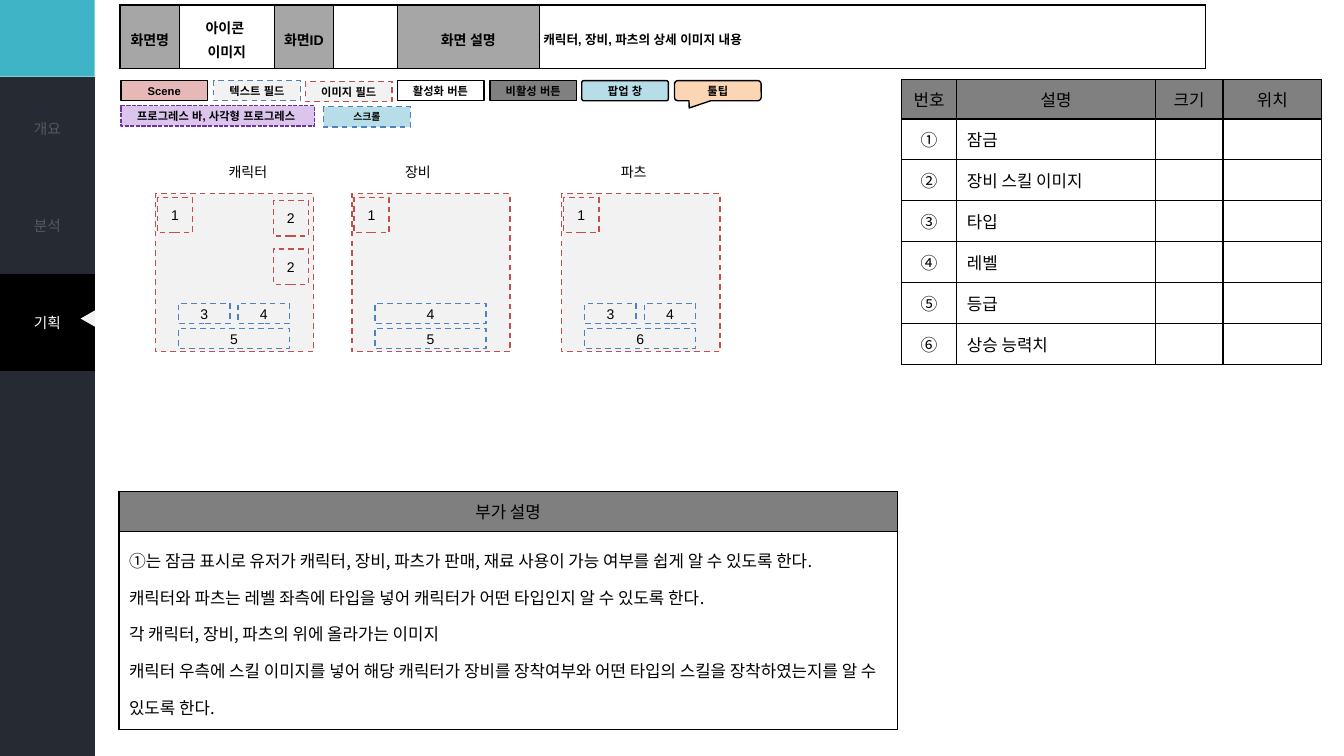
from lxml import etree
from pptx import Presentation
from pptx.dml.color import RGBColor
from pptx.enum.dml import MSO_LINE
from pptx.enum.shapes import MSO_SHAPE
from pptx.enum.text import MSO_ANCHOR, PP_ALIGN
from pptx.oxml.ns import qn
from pptx.util import Inches, Pt

LEFT, CENTER = PP_ALIGN.LEFT, PP_ALIGN.CENTER
TOP, MIDDLE = MSO_ANCHOR.TOP, MSO_ANCHOR.MIDDLE
RECT, ROUND = MSO_SHAPE.RECTANGLE, MSO_SHAPE.ROUNDED_RECTANGLE
CALLOUT, TRIANGLE = MSO_SHAPE.ROUNDED_RECTANGULAR_CALLOUT, MSO_SHAPE.ISOSCELES_TRIANGLE
DASH, SYS_DASH = MSO_LINE.DASH, MSO_LINE.SQUARE_DOT

ARIAL, NOTO = "Arial", "Noto Sans CJK KR"
BLACK, WHITE, PALE, GRAY, MID = "000000", "FFFFFF", "F2F2F2", "808080", "A6A6A6"
TEAL, NAVY, DIM = "3EB4C6", "262A33", "595959"
BLUE, RED, PURPLE, SKY = "4F81BD", "C0504D", "7030A0", "B7DEE8"

# Content
MENU = ["개요", "분석", "기획", "", "", "", ""]
ACTIVE = 2
MENU_HEIGHT = 6.74

HEADER = [  # text, width, fill, size, alignment
    ("화면명", 0.59, MID, 10, CENTER),
    ("아이콘 \v이미지", 0.94, WHITE, 10, CENTER),
    ("화면ID", 0.59, MID, 10, CENTER),
    ("", 0.63, WHITE, 10, CENTER),
    ("화면 설명", 1.41, MID, 10, CENTER),
    ("캐릭터, 장비, 파츠의 상세 이미지 내용", 6.61, WHITE, 9, LEFT),
]

LEGEND = [  # text, left, top, width, shape, fill, line, dash, adjustments, size, font
    ("Scene", 1.2, 0.8, 0.86, RECT, "E6B9B8", BLACK, None, [], 8, ARIAL),
    ("텍스트 필드", 2.12, 0.8, 0.86, RECT, PALE, BLUE, DASH, [], 8, ARIAL),
    ("이미지 필드", 3.03, 0.81, 0.86, RECT, PALE, RED, DASH, [], 8, ARIAL),
    ("활성화 버튼", 3.94, 0.8, 0.86, RECT, WHITE, BLACK, None, [], 8, ARIAL),
    ("비활성 버튼", 4.86, 0.8, 0.86, RECT, GRAY, BLACK, None, [], 8, ARIAL),
    ("팝업 창", 5.77, 0.8, 0.86, ROUND, SKY, BLACK, None, [0.11], 8, ARIAL),
    ("툴팁", 6.69, 0.8, 0.86, CALLOUT, "FCD5B5", BLACK, None, [-0.33, 0.86, 0.17], 8, ARIAL),
    ("프로그레스 바, 사각형 프로그레스 ", 1.2, 1.05, 1.92, RECT, "DCC5ED", PURPLE, SYS_DASH, [], 8, ARIAL),
    ("스크롤", 3.21, 1.06, 0.86, RECT, SKY, BLUE, DASH, [], 7, NOTO),
]

# Field positions inside a panel: dx, dy, width, height, line
FIELDS = {
    "lock": (0.02, 0.04, 0.35, 0.35, RED),
    "skill 1": (1.17, 0.07, 0.35, 0.35, RED),
    "skill 2": (1.17, 0.55, 0.35, 0.35, RED),
    "left half": (0.23, 1.09, 0.51, 0.2, BLUE),
    "right half": (0.82, 1.09, 0.51, 0.2, BLUE),
    "middle": (0.23, 1.09, 1.1, 0.2, BLUE),
    "bottom": (0.23, 1.34, 1.1, 0.2, BLUE),
}
PANELS = [  # title, title left, title width, panel left, numbered fields
    ("캐릭터", 2.17, 0.62, 1.54, {"lock": 1, "skill 1": 2, "skill 2": 2,
                               "left half": 3, "right half": 4, "bottom": 5}),
    ("장비", 3.92, 0.48, 3.49, {"lock": 1, "middle": 4, "bottom": 5}),
    ("파츠", 6.06, 0.48, 5.57, {"lock": 1, "left half": 3, "right half": 4, "bottom": 6}),
]
PANEL_TOP, PANEL_SIZE = 1.92, 1.57

SPEC_HEAD = ["번호", "설명", "크기", "위치"]
SPEC_COLS = [0.55, 1.97, 0.67, 0.98]
SPEC = ["잠금", "장비 스킬 이미지", "타입", "레벨", "등급", "상승 능력치"]
SPEC_HEIGHT, HEAD_HEIGHT = 2.83, 0.39
NUMBERS = "①②③④⑤⑥"

NOTES_TITLE = "부가 설명"
NOTES = [
    "①는 잠금 표시로 유저가 캐릭터, 장비, 파츠가 판매, 재료 사용이 가능 여부를 쉽게 알 수 있도록 한다.",
    "캐릭터와 파츠는 레벨 좌측에 타입을 넣어 캐릭터가 어떤 타입인지 알 수 있도록 한다.",
    "각 캐릭터, 장비, 파츠의 위에 올라가는 이미지",
    "캐릭터 우측에 스킬 이미지를 넣어 해당 캐릭터가 장비를 장착여부와 어떤 타입의 스킬을 "
    "장착하였는지를 알 수 있도록 한다.",
]


def rgb(color):
    return RGBColor.from_string(color)


def write(tf, lines, size, font=ARIAL, color=BLACK, bold=False, align=CENTER, spacing=None):
    for i, line in enumerate(lines):
        p = tf.add_paragraph() if i else tf.paragraphs[0]
        p.text = line
        p.alignment = align
        p.line_spacing = spacing
        p.font.size, p.font.name, p.font.bold = Pt(size), font, bold
        p.font.color.rgb = rgb(color)
        # Hangul takes the East Asian typeface
        latin = p._p.pPr.find(qn("a:defRPr")).find(qn("a:latin"))
        latin.addnext(etree.Element(qn("a:ea"), typeface=font))


def add_box(x, y, w, h, fill, line=None, dash=None, shape=RECT, adjust=()):
    sp = s.shapes.add_shape(shape, Inches(x), Inches(y), Inches(w), Inches(h))
    sp.shadow.inherit = False
    sp.fill.solid()
    sp.fill.fore_color.rgb = rgb(fill)
    if line:
        sp.line.color.rgb = rgb(line)
        sp.line.width = Pt(1)
        sp.line.dash_style = dash
    else:
        sp.line.fill.background()
    for i, value in enumerate(adjust):
        sp.adjustments[i] = value
    sp.text_frame.vertical_anchor = MIDDLE
    return sp


def add_grid(x, y, cols, rows):
    tbl = s.shapes.add_table(len(rows), len(cols), Inches(x), Inches(y),
                             Inches(sum(cols)), Inches(sum(rows))).table
    tbl.first_row = tbl.horz_banding = False
    for col, width in zip(tbl.columns, cols):
        col.width = Inches(width)
    for row, height in zip(tbl.rows, rows):
        row.height = Inches(height)
    return tbl


def fill_cell(cell, lines, fill, size, border=BLACK, anchor=MIDDLE, margin=None, **style):
    write(cell.text_frame, lines, size, **style)
    cell.vertical_anchor = anchor
    if margin:
        cell.margin_left = cell.margin_right = Inches(margin)
        cell.margin_top = cell.margin_bottom = Inches(margin)
    # Borders come before the fill in the cell properties
    tc_pr = cell._tc.get_or_add_tcPr()
    for side in ("a:lnL", "a:lnR", "a:lnT", "a:lnB"):
        ln = etree.SubElement(tc_pr, qn(side), w=str(Pt(1)))
        if border:
            solid = etree.SubElement(ln, qn("a:solidFill"))
            etree.SubElement(solid, qn("a:srgbClr"), val=border)
        else:
            etree.SubElement(ln, qn("a:noFill"))
    cell.fill.solid()
    cell.fill.fore_color.rgb = rgb(fill)


prs = Presentation()
prs.slide_width, prs.slide_height = Inches(13.33), Inches(7.5)
s = prs.slides.add_slide(prs.slide_layouts[6])

# Side menu: a plain column, then the labelled one slightly lower
add_box(0, 0, 0.94, 0.76, TEAL)
for y, names, active in ((0.76, [""] * len(MENU), None), (0.79, MENU, ACTIVE)):
    menu = add_grid(0, y, [0.94], [MENU_HEIGHT / len(MENU)] * len(MENU))
    for i, name in enumerate(names):
        fill, color = (BLACK, WHITE) if i == active else (NAVY, DIM)
        fill_cell(menu.cell(i, 0), [name], fill, 10.5, border=None, font=NOTO, color=color)
add_box(0.79, 3.09, 0.16, 0.14, PALE, shape=TRIANGLE).rotation = 270

# Legend
for text, x, y, w, shape, fill, line, dash, adjust, size, font in LEGEND:
    sp = add_box(x, y, w, 0.2, fill, line, dash, shape, adjust)
    write(sp.text_frame, [text], size, font=font, bold=True)

# Screen header
header = add_grid(1.19, 0.05, [item[1] for item in HEADER], [0.63])
for i, (text, _, fill, size, align) in enumerate(HEADER):
    fill_cell(header.cell(0, i), [text], fill, size, margin=0.04,
              bold=True, align=align, spacing=1.5)

# Specification table
rows = [SPEC_HEAD] + [[number, name, "", ""] for number, name in zip(NUMBERS, SPEC)]
row_height = (SPEC_HEIGHT - HEAD_HEIGHT) / len(SPEC)
spec_table = add_grid(8.94, 0.79, SPEC_COLS, [HEAD_HEIGHT] + [row_height] * len(SPEC))
for r, row in enumerate(rows):
    for c, text in enumerate(row):
        fill_cell(spec_table.cell(r, c), [text], WHITE if r else GRAY, 12, font=NOTO,
                  align=LEFT if r and c == 1 else CENTER)

# Additional notes
notes = add_grid(1.18, 4.88, [7.72], [HEAD_HEIGHT, 1.97])
fill_cell(notes.cell(0, 0), [NOTES_TITLE], "7F7F7F", 12, font=NOTO)
fill_cell(notes.cell(1, 0), NOTES, WHITE, 12, anchor=TOP, font=NOTO, align=LEFT, spacing=1.5)

# Icon panels
for title, title_x, title_w, x, fields in PANELS:
    tb = s.shapes.add_textbox(Inches(title_x), Inches(1.57), Inches(title_w), Inches(0.27))
    tb.text_frame.word_wrap = False
    write(tb.text_frame, [title], 10, align=LEFT)
    add_box(x, PANEL_TOP, PANEL_SIZE, PANEL_SIZE, PALE, RED, DASH)
    for field, number in fields.items():
        dx, dy, w, h, line = FIELDS[field]
        sp = add_box(x + dx, PANEL_TOP + dy, w, h, PALE, line, DASH)
        write(sp.text_frame, [str(number)], 10)

prs.save("out.pptx")
